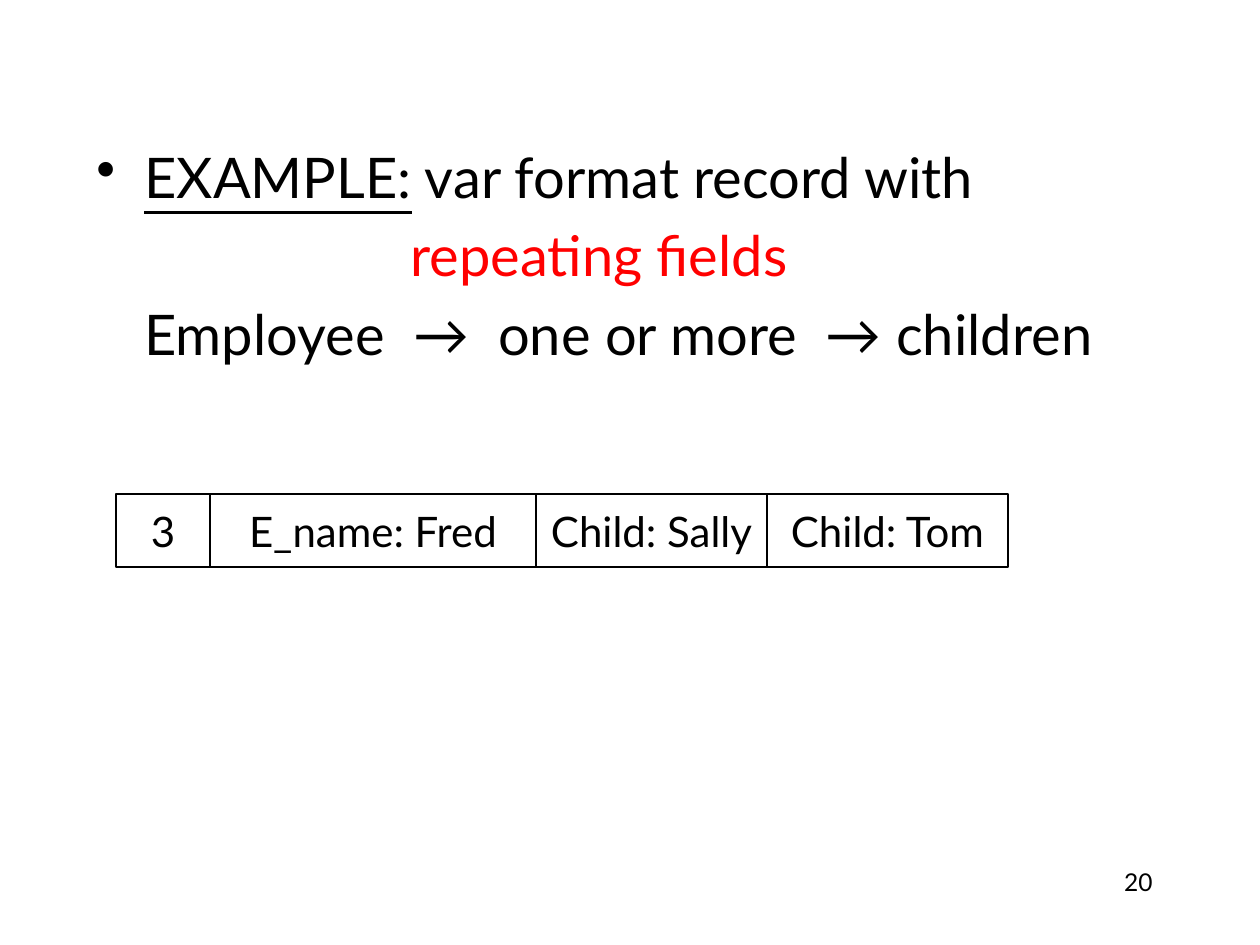
import pptx
import pptx.dml.color
import pptx.enum.shapes
import pptx.enum.text
import pptx.util
import lxml.etree

ALIGN = pptx.enum.text.PP_ALIGN
ANCHOR = pptx.enum.text.MSO_ANCHOR


def px(length):
    return pptx.util.Emu(length * 914400 // 126)


def color(value):
    return pptx.dml.color.RGBColor.from_string(value)


def apply(target, values):
    for name, value in values.items():
        setattr(target, name, value)


class SlideBuilder:
    font = "Lato"
    ink = "000000"
    paper = "FFFFFF"

    def __init__(self, slide):
        self.slide = slide

    def run(self, paragraph, text, size, ink=None, underline=False):
        run = paragraph.add_run()
        run.text = text
        apply(run.font, {"name": self.font, "size": pptx.util.Pt(size), "underline": underline})
        run.font.color.rgb = color(ink or self.ink)

    def text_box(self, box):
        shape = self.slide.shapes.add_textbox(*map(px, box))
        shape.text_frame.word_wrap = True
        return shape.text_frame

    def label(self, box, text, size, align):
        paragraph = self.text_box(box).paragraphs[0]
        paragraph.alignment = align
        self.run(paragraph, text, size)

    def body(self, box, lines, size):
        frame = self.text_box(box)
        for index, (margin, bullet, runs) in enumerate(lines):
            paragraph = frame.add_paragraph() if index else frame.paragraphs[0]
            paragraph.space_before = pptx.util.Pt(size * 0.2)
            properties = paragraph._p.get_or_add_pPr()
            properties.set("marL", str(px(margin)))
            properties.set("indent", str(-px(margin) if bullet else 0))
            if bullet:
                tag = pptx.oxml.ns.qn("a:buChar")
                lxml.etree.SubElement(properties, tag).set("char", bullet)
            for text, style in runs:
                self.run(paragraph, text, size, **style)

    def field(self, box, text, size):
        kind = pptx.enum.shapes.MSO_SHAPE.RECTANGLE
        shape = self.slide.shapes.add_shape(kind, *map(px, box))
        shape.shadow.inherit = False
        shape.fill.solid()
        shape.fill.fore_color.rgb = color(self.paper)
        shape.line.color.rgb = color(self.ink)
        shape.line.width = pptx.util.Pt(0.75)
        apply(shape.text_frame, {"word_wrap": False, "vertical_anchor": ANCHOR.MIDDLE})
        paragraph = shape.text_frame.paragraphs[0]
        paragraph.alignment = ALIGN.CENTER
        self.run(paragraph, text, size)


presentation = pptx.Presentation()
apply(presentation, {"slide_width": px(1260), "slide_height": px(945)})
builder = SlideBuilder(presentation.slides.add_slide(presentation.slide_layouts[6]))

builder.label((903, 861, 262, 63), "20", 14, ALIGN.RIGHT)
builder.body((84, 136, 1071, 451), [
    (48, "•", [("EXAMPLE:", {"underline": True}), (" var format record with", {})]),
    (314, None, [("repeating fields", {"ink": "FF0000"})]),
    (48, None, [("Employee  →  one or more  → children", {})]),
], 32)

left = 116
for text, width in [("3", 94), ("E_name: Fred", 326), ("Child: Sally", 231), ("Child: Tom", 241)]:
    builder.field((left, 494, width, 73), text, 24)
    left += width

presentation.save("out.pptx")
